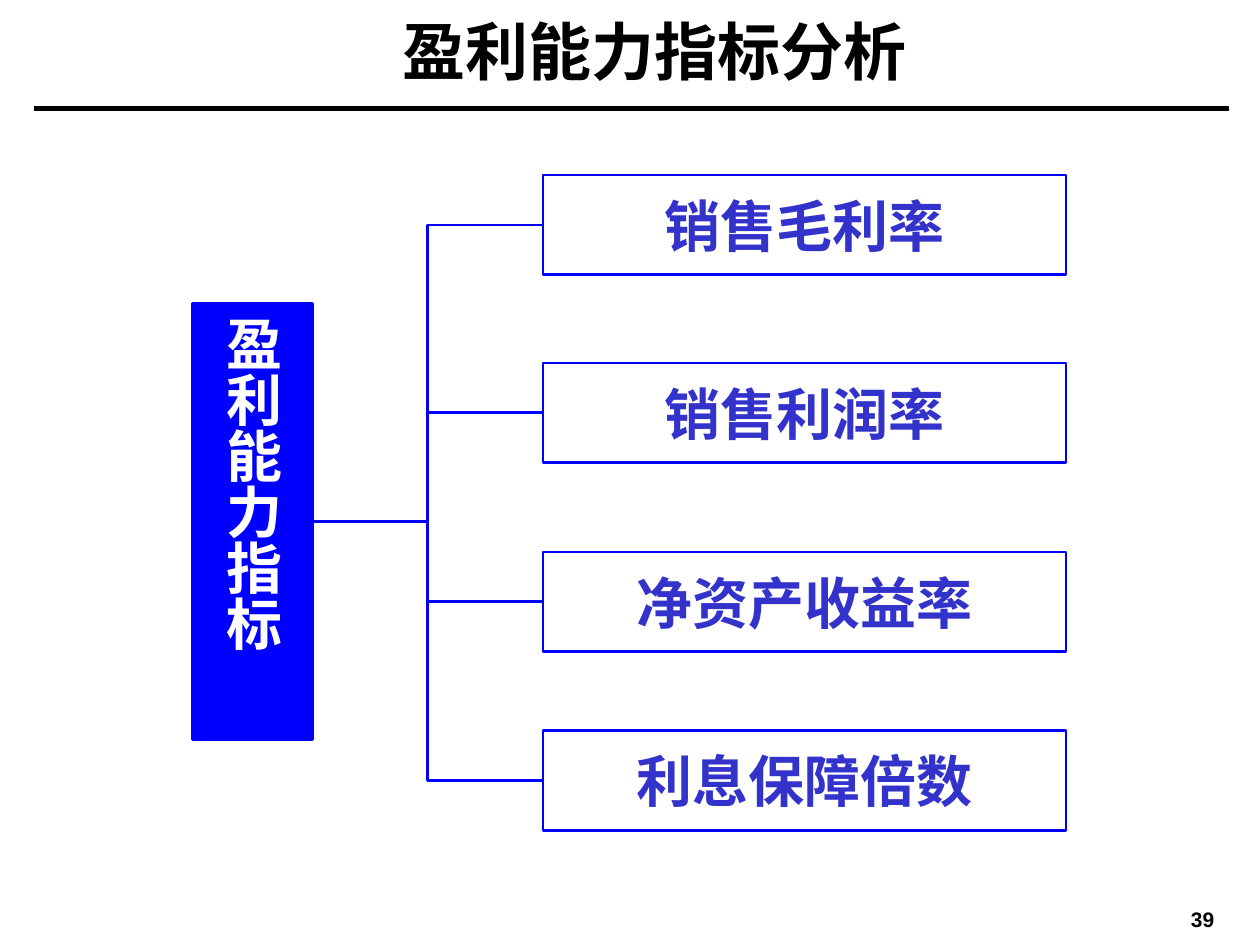
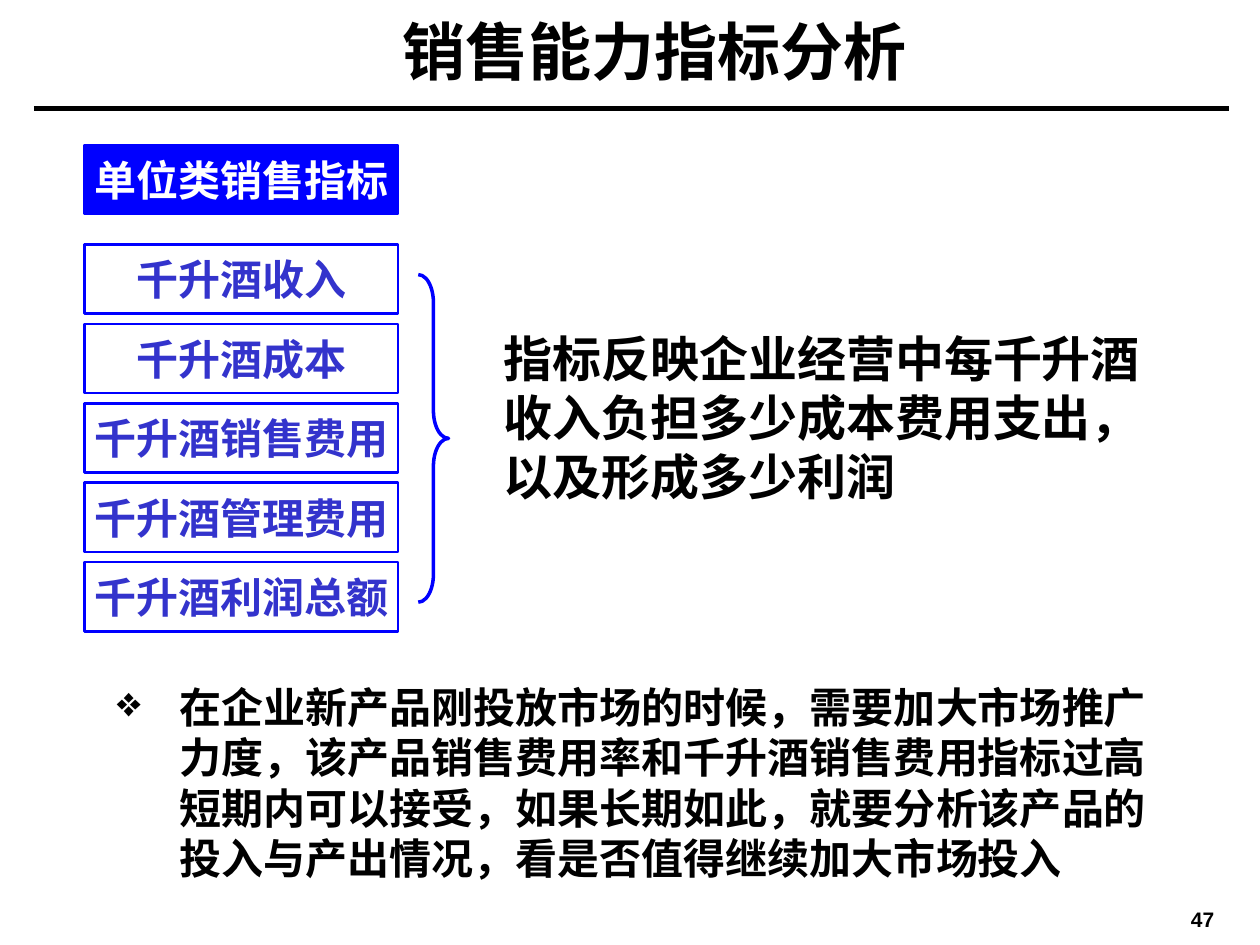
import pptx
import pptx.dml.color
import pptx.enum.shapes
import pptx.enum.text
import pptx.oxml.ns
import pptx.util
from lxml import etree

RGBColor = pptx.dml.color.RGBColor
Inches = pptx.util.Inches
Pt = pptx.util.Pt
MSO_SHAPE = pptx.enum.shapes.MSO_SHAPE
MSO_CONNECTOR = pptx.enum.shapes.MSO_CONNECTOR
ANCHOR = pptx.enum.text.MSO_ANCHOR
ALIGN = pptx.enum.text.PP_ALIGN
qn = pptx.oxml.ns.qn

# Content
RATIO_TREE = {
    "title": "盈利能力指标分析",
    "number": "39",
    "root": "盈利能力指标",
    "branches": [  # text, top
        ("销售毛利率", 1.39),
        ("销售利润率", 2.88),
        ("净资产收益率", 4.38),
        ("利息保障倍数", 5.8),
    ],
}
UNIT_INDICATORS = {
    "title": "销售能力指标分析",
    "number": "47",
    "heading": "单位类销售指标",
    "indicators": ["千升酒收入", "千升酒成本", "千升酒销售费用", "千升酒管理费用", "千升酒利润总额"],
    "meaning": "指标反映企业经营中每千升酒收入负担多少成本费用支出，以及形成多少利润",
    "advice": "在企业新产品刚投放市场的时候，需要加大市场推广力度，"
              "该产品销售费用率和千升酒销售费用指标过高短期内可以接受，"
              "如果长期如此，就要分析该产品的投入与产出情况，看是否值得继续加大市场投入",
}

# Shared style
BLACK = RGBColor(0x00, 0x00, 0x00)
WHITE = RGBColor(0xFF, 0xFF, 0xFF)
BLUE = RGBColor(0x00, 0x00, 0xFF)
INDIGO = RGBColor(0x33, 0x33, 0xCC)
BODY_FONT = "Times New Roman"
NUMBER_FONT = "Arial"
SLIDE_SIZE = (10, 7.5)
THIN_LINE = 1.5

# Layout, in inches
ROOT_BOX = (1.53, 2.41, 0.95, 3.46)
BRANCH_LEFT, BRANCH_SIZE = 4.31, (4.15, 0.79)
LIST_LEFT, LIST_TOP, LIST_PITCH, LIST_SIZE = 0.67, 1.94, 0.63, (2.49, 0.55)
HEADING_TOP = 1.15
BRACE_BOX = (3.32, 2.18, 0.24, 2.6)


def write(shape, text, size, color, align=ALIGN.LEFT, anchor=ANCHOR.TOP,
          wrap=True, font=BODY_FONT, margins=(0.1, 0.05)):
    """Put one bold paragraph in the shape; margins are (side, top and bottom)."""
    frame = shape.text_frame
    frame.word_wrap = wrap
    frame.vertical_anchor = anchor
    frame.margin_left = frame.margin_right = Inches(margins[0])
    frame.margin_top = frame.margin_bottom = Inches(margins[1])
    paragraph = frame.paragraphs[0]
    paragraph.text = text
    paragraph.alignment = align
    paragraph.font.name = font
    paragraph.font.size = Pt(size)
    paragraph.font.bold = True
    paragraph.font.color.rgb = color
    return paragraph


def add_text(slide, box, text, size, **options):
    shape = slide.shapes.add_textbox(*map(Inches, box))
    return write(shape, text, size, BLACK, **options)


def add_outline(slide, kind, box, line_width):
    """Add a blue outline without fill or shadow."""
    shape = slide.shapes.add_shape(kind, *map(Inches, box))
    shape.shadow.inherit = False
    shape.fill.background()
    shape.line.color.rgb = BLUE
    shape.line.width = Pt(line_width)
    return shape


def add_box(slide, box, text, size, filled=False, **options):
    shape = add_outline(slide, MSO_SHAPE.RECTANGLE, box, THIN_LINE)
    if filled:
        shape.fill.solid()
        shape.fill.fore_color.rgb = BLUE
    options = {"wrap": False, **options}
    write(shape, text, size, WHITE if filled else INDIGO,
          align=ALIGN.CENTER, anchor=ANCHOR.MIDDLE, **options)
    return shape


def add_line(slide, kind, ends, color, width):
    line = slide.shapes.add_connector(kind, *map(Inches, ends))
    line.line.color.rgb = color
    line.line.width = Pt(width)
    etree.SubElement(line._element.spPr, qn("a:effectLst"))
    return line


def add_bullet(paragraph, symbol, indent):
    properties = paragraph._p.get_or_add_pPr()
    properties.set("marL", str(Inches(indent)))
    properties.set("indent", str(-Inches(indent)))
    color = etree.SubElement(properties, qn("a:buClr"))
    etree.SubElement(color, qn("a:srgbClr"), val=str(BLACK))
    etree.SubElement(properties, qn("a:buChar"), char=symbol)


def add_base_slide(presentation, content):
    """Add a blank slide with the shared title, rule and page number."""
    slide = presentation.slides.add_slide(presentation.slide_layouts[6])
    add_line(slide, MSO_CONNECTOR.STRAIGHT, (0.27, 0.86, 9.75, 0.86), BLACK, 3)
    add_text(slide, (1.85, 0.05, 6.69, 0.7), content["title"], 36, align=ALIGN.CENTER)
    add_text(slide, (9.21, 7.21, 0.67, 0.17), content["number"], 12, align=ALIGN.CENTER,
             anchor=ANCHOR.MIDDLE, font=NUMBER_FONT, margins=(0.1, 0))
    return slide


def build_ratio_tree(presentation, content):
    slide = add_base_slide(presentation, content)
    root = add_box(slide, ROOT_BOX, content["root"], 32, filled=True,
                   wrap=True, margins=(0.05, 0.1))
    root.text_frame._txBody.bodyPr.set("vert", "eaVert")
    left, top, width, height = ROOT_BOX
    for text, branch_top in content["branches"]:
        branch = add_box(slide, (BRANCH_LEFT, branch_top, *BRANCH_SIZE), text, 32)
        ends = (left + width, top + height / 2,
                BRANCH_LEFT, branch_top + BRANCH_SIZE[1] / 2)
        link = add_line(slide, MSO_CONNECTOR.ELBOW, ends, BLUE, THIN_LINE)
        link.begin_connect(root, 3)
        link.end_connect(branch, 1)


def build_unit_indicators(presentation, content):
    slide = add_base_slide(presentation, content)
    add_box(slide, (LIST_LEFT, HEADING_TOP, *LIST_SIZE), content["heading"], 24, filled=True)
    for row, text in enumerate(content["indicators"]):
        add_box(slide, (LIST_LEFT, LIST_TOP + row * LIST_PITCH, *LIST_SIZE), text, 24)
    brace = add_outline(slide, MSO_SHAPE.RIGHT_BRACE, BRACE_BOX, 2)
    brace.adjustments[0] = 0.92
    add_text(slide, (3.9, 2.56, 5.36, 1.5), content["meaning"], 28)
    advice = add_text(slide, (0.83, 5.36, 8.51, 1.7), content["advice"], 24)
    add_bullet(advice, "❖", 0.5)


def main():
    presentation = pptx.Presentation()
    presentation.slide_width, presentation.slide_height = map(Inches, SLIDE_SIZE)
    build_ratio_tree(presentation, RATIO_TREE)
    build_unit_indicators(presentation, UNIT_INDICATORS)
    presentation.save("out.pptx")


if __name__ == "__main__":
    main()
